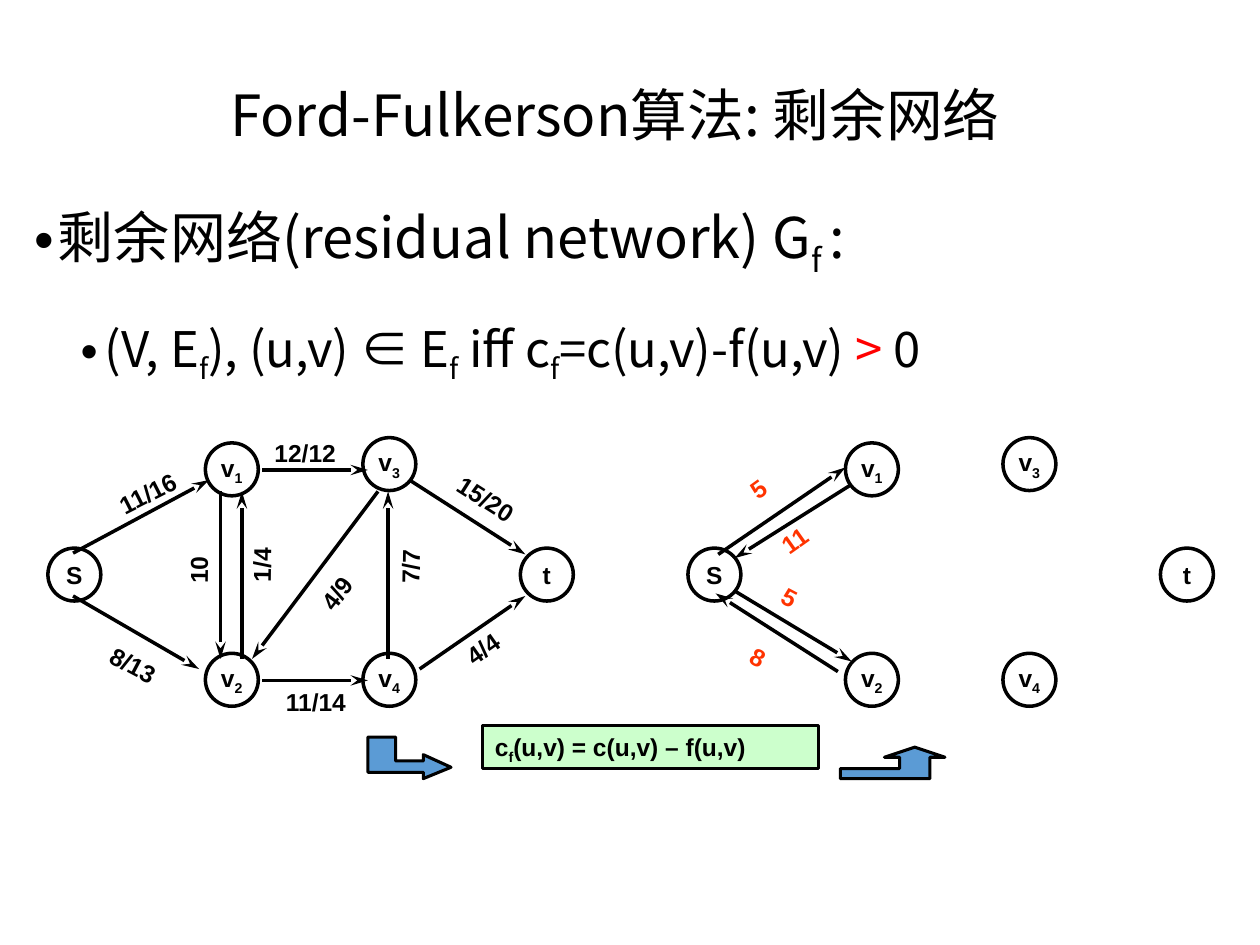
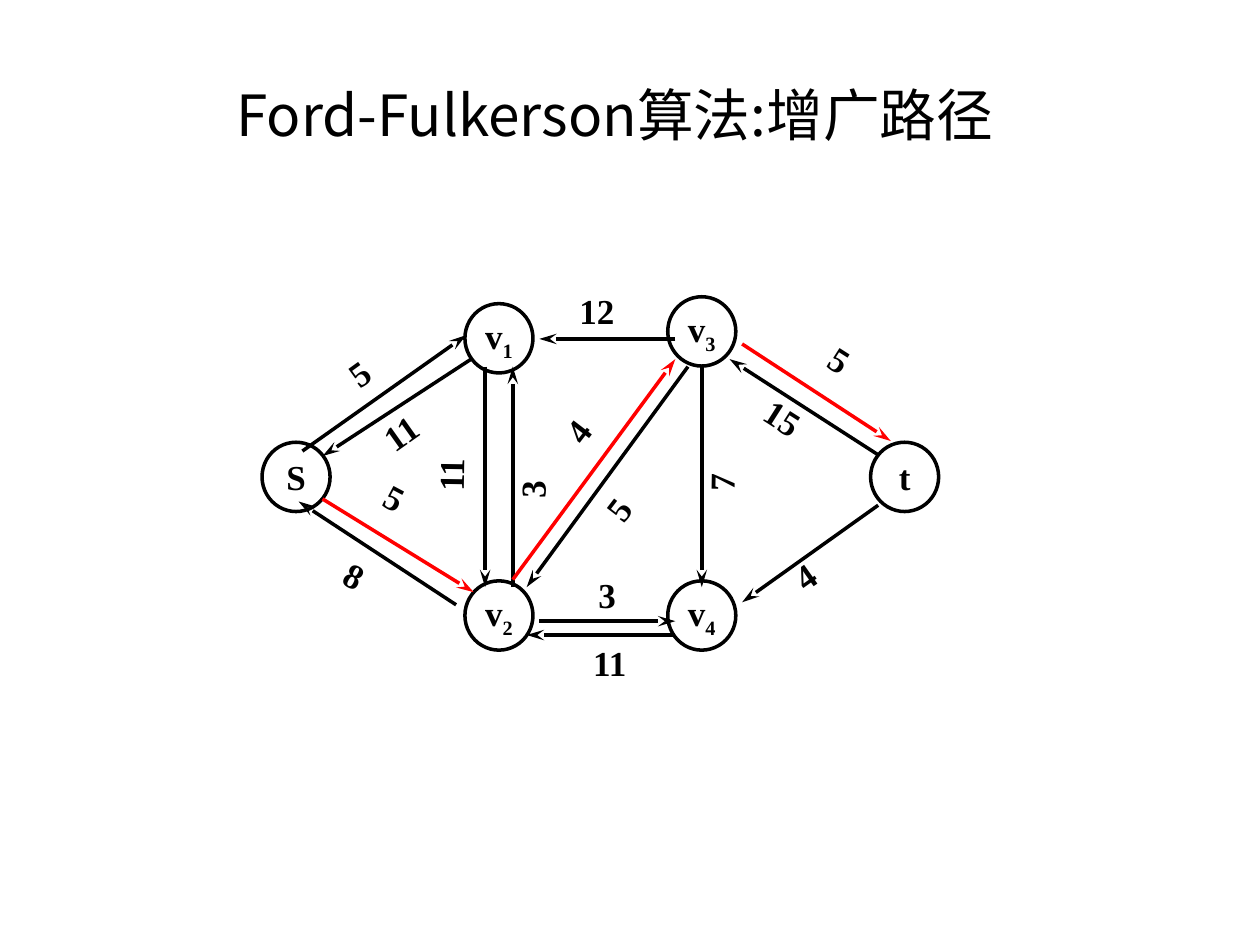
from lxml import etree
from pptx import Presentation
from pptx.dml.color import RGBColor
from pptx.enum.shapes import MSO_CONNECTOR, MSO_SHAPE
from pptx.enum.text import MSO_ANCHOR, MSO_AUTO_SIZE, PP_ALIGN
from pptx.oxml.ns import qn
from pptx.util import Cm, Pt

CENTER, LEFT = PP_ALIGN.CENTER, PP_ALIGN.LEFT
TOP, MIDDLE = MSO_ANCHOR.TOP, MSO_ANCHOR.MIDDLE
FIT_SHAPE, NO_FIT = MSO_AUTO_SIZE.SHAPE_TO_FIT_TEXT, MSO_AUTO_SIZE.NONE
STRAIGHT = MSO_CONNECTOR.STRAIGHT
OVAL, RECTANGLE = MSO_SHAPE.OVAL, MSO_SHAPE.RECTANGLE
TITLE_AND_BODY, TITLE_ONLY = 1, 5

# Shared look
BLACK, WHITE, RED = "000000", "FFFFFF", "FF0000"
ORANGE, GREEN, BLUE = "FF3300", "CCFFCC", "5B9BD5"
HEADING_FONT = "Noto Sans CJK SC"
TITLE_AREA = (0.17, 0.5, 9.42, 0.76)
BODY_AREA = (0.17, 1.25, 9.83, 1.83)

# Content: places are in inches, and ~x~ marks a subscript
TITLES = ["Ford-Fulkerson算法: 剩余网络", "Ford-Fulkerson算法:增广路径"]
# level, left indent, space before, pieces of text with their colour
BULLETS = [
    (0, 0.19, 7.5, [("剩余网络(residual network) G~f ~:", BLACK)]),
    (1, 0.56, 3.8, [("(V, E~f~), (u,v) ∈ E~f~ iff c~f~=c(u,v)-f(u,v) ", BLACK),
                    (">", RED), (" 0", BLACK)]),
]
FORMULA = "c~f~(u,v) = c(u,v) – f(u,v)"
FORMULA_AREA = (3.83, 5.76, 2.67, 0.34)
# Corners in hundredths of an inch, as freeform points must be whole numbers
BLOCK_ARROWS = [
    [(726, 593), (702, 601), (714, 601), (714, 610), (667, 610),
     (667, 618), (738, 618), (738, 601), (750, 601)],
    [(358, 609), (336, 599), (336, 604), (314, 604), (314, 585),
     (292, 585), (292, 613), (336, 613), (336, 618)],
]

# Column and row of each node, counted from S
NODES = {"S": (0, 0), "t": (3, 0), "v~1~": (1, -1), "v~2~": (1, 1),
         "v~3~": (2, -1.05), "v~4~": (2, 1)}

SMALL = {"column": 1.25, "row": 0.835, "node": (0.42, 0.42),
         "label": (0.75, 0.33), "font": "Arial", "size": 14}
LARGE = {"column": 1.61, "row": 1.1, "node": (0.54, 0.55),
         "label": (0.97, 0.43), "font": "Times New Roman", "size": 20}

# edges: from x, from y, to x, to y; labels: text, left, top, rotation
FLOW = {
    **SMALL, "start": (0.38, 4.35), "label_color": BLACK, "red_edges": [],
    "edges": [
        (2.08, 3.73, 2.92, 3.73), (2.08, 5.4, 2.92, 5.4),
        (0.58, 4.39, 1.66, 3.81), (0.58, 4.73, 1.58, 5.31),
        (1.75, 3.9, 1.75, 5.23), (1.92, 5.23, 1.92, 3.9),
        (3.08, 5.23, 3.08, 3.9), (3, 3.9, 2, 5.23),
        (3.25, 3.81, 4.17, 4.4), (3.33, 5.31, 4.17, 4.73)],
    "labels": [
        ("10", 1.2, 4.19, 270.9), ("8/13", 0.76, 5.15, 27.9),
        ("12/12", 2.08, 3.43, 0), ("11/16", 0.83, 3.73, 333.1),
        ("1/4", 1.7, 4.18, 270.9), ("4/4", 3.57, 4.9, 324.7),
        ("11/14", 2.17, 5.4, 0), ("15/20", 3.51, 3.81, 32.6),
        ("7/7", 2.88, 4.19, 270.9), ("4/9", 2.38, 4.43, 307.4)],
}
RESIDUAL = {
    **SMALL, "start": (5.46, 4.35), "label_color": ORANGE, "red_edges": [],
    "edges": [
        (5.7, 4.4, 6.71, 3.71), (6.75, 3.85, 5.83, 4.43),
        (6.65, 5.33, 5.68, 4.71), (5.83, 4.69, 6.76, 5.25)],
    "labels": [
        ("5", 5.82, 3.58, 324.2), ("11", 6.07, 4.02, 324.7),
        ("8", 5.84, 5.15, 27.9), ("5", 6.09, 4.68, 27.9)],
}
AUGMENTING = {
    **LARGE, "start": (2.08, 3.51), "label_color": BLACK,
    "edges": [
        (5.36, 2.69, 4.28, 2.69), (4.28, 4.93, 5.36, 4.93),
        (2.4, 3.58, 3.7, 2.66), (3.62, 4.8, 2.37, 3.98),
        (3.85, 2.91, 3.85, 4.66), (4.07, 4.66, 4.07, 2.91),
        (5.57, 2.91, 5.57, 4.66), (5.46, 2.91, 4.18, 4.66),
        (6.97, 4.01, 5.89, 4.78), (3.74, 2.85, 2.56, 3.62),
        (5.36, 5.04, 4.18, 5.04), (6.97, 3.61, 5.79, 2.85)],
    "red_edges": [
        (2.56, 3.96, 3.76, 4.7), (4.07, 4.6, 5.36, 2.85),
        (5.89, 2.73, 7.07, 3.5)],
    "labels": [
        ("11", 3.09, 3.3, 270.9), ("8", 2.61, 4.5, 27.9),
        ("12", 4.5, 2.25, 0), ("5", 2.62, 2.56, 324.2),
        ("3", 3.74, 3.35, 270.9), ("4", 6.16, 4.17, 324.7),
        ("3", 4.65, 4.5, 0), ("5", 6.45, 2.81, 32.6),
        ("7", 5.24, 3.3, 270.9), ("5", 4.61, 3.57, 307.4),
        ("11", 2.9, 3.07, 324.7), ("5", 2.93, 3.88, 27.9),
        ("11", 4.61, 5.04, 0), ("15", 5.94, 3.23, 32.6),
        ("4", 4.29, 2.95, 307.4)],
}


def lengths(*inches):
    return [Cm(2.54 * value) for value in inches]


def rgb(color):
    return RGBColor.from_string(color)


def write(para, text, font, size, color=BLACK, bold=False, align=None):
    """Add text to a paragraph; the parts between ~ become subscripts."""
    if align is not None:
        para.alignment = align
    for index, part in enumerate(text.split("~")):
        if not part:
            continue
        span = para.add_run()
        span.text = part
        span.font.name, span.font.size, span.font.bold = font, Pt(size), bold
        span.font.color.rgb = rgb(color)
        properties = span._r.get_or_add_rPr()
        etree.SubElement(properties, qn("a:ea"), typeface=font)
        if index % 2:
            properties.set("baseline", "-25000")


def paint(shape, fill, width):
    shape.shadow.inherit = False
    shape.fill.solid()
    shape.fill.fore_color.rgb = rgb(fill)
    shape.line.color.rgb = rgb(BLACK)
    shape.line.width = Pt(width)


def place(shape, area):
    shape.left, shape.top, shape.width, shape.height = lengths(*area)


def add_page(deck, layout, title):
    page = deck.slides.add_slide(deck.slide_layouts[layout])
    box = page.shapes.title
    place(box, TITLE_AREA)
    frame = box.text_frame
    frame.vertical_anchor, frame.auto_size = MIDDLE, NO_FIT
    para = frame.paragraphs[0]
    para.line_spacing = 1.1
    write(para, title, HEADING_FONT, 32.4, align=CENTER)
    return page


def add_bullets(page):
    box = page.placeholders[1]
    place(box, BODY_AREA)
    frame = box.text_frame
    frame.auto_size = NO_FIT
    for index, (level, indent, before, pieces) in enumerate(BULLETS):
        para = frame.add_paragraph() if index else frame.paragraphs[0]
        para.level, para.line_spacing, para.space_before = level, 1.5, Pt(before)
        margin, hanging = lengths(indent, -0.19)
        properties = para._p.get_or_add_pPr()
        properties.set("marL", str(margin))
        properties.set("indent", str(hanging))
        etree.SubElement(properties, qn("a:buChar"), char="•")
        for text, color in pieces:
            write(para, text, HEADING_FONT, 32 - 4 * level, color)


def add_edge(page, ends, color):
    edge = page.shapes.add_connector(STRAIGHT, *lengths(*ends))
    edge.line.color.rgb = rgb(color)
    edge.line.width = Pt(2)
    etree.SubElement(edge.line._get_or_add_ln(), qn("a:tailEnd"),
                     type="stealth", w="med", len="lg")
    etree.SubElement(edge._element.spPr, qn("a:effectLst"))


def add_graph(page, graph):
    style = {"font": graph["font"], "size": graph["size"], "bold": True}
    left, top = graph["start"]

    # Nodes
    for name, (column, row) in NODES.items():
        node = page.shapes.add_shape(OVAL, *lengths(
            left + column * graph["column"], top + row * graph["row"], *graph["node"]))
        paint(node, WHITE, 2)
        frame = node.text_frame
        frame.word_wrap, frame.vertical_anchor = False, MIDDLE
        write(frame.paragraphs[0], name, align=CENTER, **style)

    # Edges
    for key, color in (("edges", BLACK), ("red_edges", RED)):
        for ends in graph[key]:
            add_edge(page, ends, color)

    # Capacities and flows
    for text, x, y, rotation in graph["labels"]:
        box = page.shapes.add_textbox(*lengths(x, y, *graph["label"]))
        box.rotation = rotation
        frame = box.text_frame
        frame.word_wrap, frame.auto_size = True, FIT_SHAPE
        write(frame.paragraphs[0], text, color=graph["label_color"], **style)


def add_formula(page):
    box = page.shapes.add_shape(RECTANGLE, *lengths(*FORMULA_AREA))
    paint(box, GREEN, 1.75)
    frame = box.text_frame
    frame.auto_size, frame.vertical_anchor = FIT_SHAPE, TOP
    write(frame.paragraphs[0], FORMULA, "Arial", 14, bold=True, align=LEFT)
    for corners in BLOCK_ARROWS:
        builder = page.shapes.build_freeform(*corners[0], scale=Cm(2.54) / 100)
        builder.add_line_segments(corners[1:], close=True)
        paint(builder.convert_to_shape(), BLUE, 1.75)


def main():
    deck = Presentation()
    deck.slide_width, deck.slide_height = lengths(10, 7.5)

    # Residual network
    page = add_page(deck, TITLE_AND_BODY, TITLES[0])
    add_bullets(page)
    add_graph(page, FLOW)
    add_formula(page)
    add_graph(page, RESIDUAL)

    # Augmenting path
    page = add_page(deck, TITLE_ONLY, TITLES[1])
    add_graph(page, AUGMENTING)

    deck.save("out.pptx")


if __name__ == "__main__":
    main()
